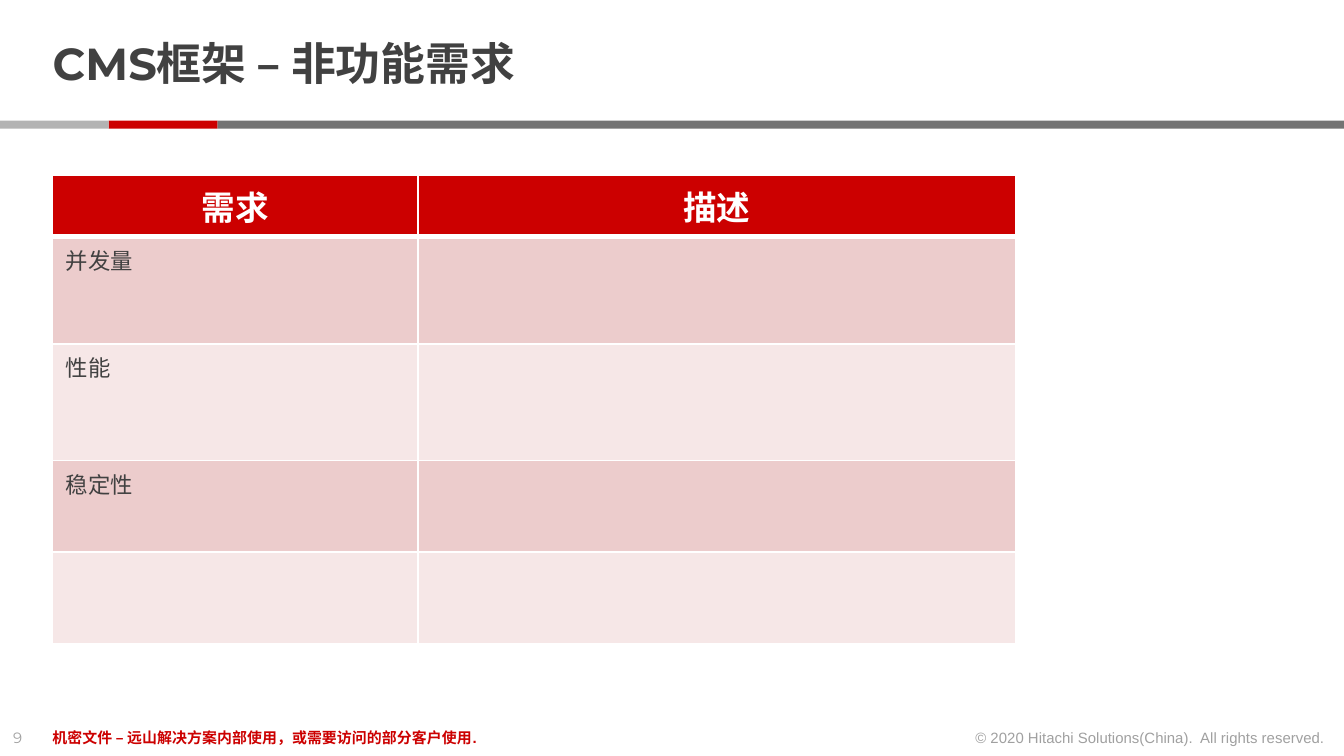
import pptx
import pptx.util
import pptx.dml.color
import pptx.enum.shapes
import pptx.enum.text
import pptx.oxml

Pt = pptx.util.Pt
Align = pptx.enum.text.PP_ALIGN
Fit = pptx.enum.text.MSO_AUTO_SIZE
RECT = pptx.enum.shapes.MSO_SHAPE.RECTANGLE
NS = "http://schemas.openxmlformats.org/drawingml/2006/main"
RED, DARK, PALE, WHITE = "CC0000", "414141", "A0A0A0", "FFFFFF"


def color(code):
    return pptx.dml.color.RGBColor.from_string(code)


def write(para, text, size, face, code, bold=False):
    run = para.add_run()
    run.text = text
    font = run.font
    font.size, font.name, font.bold = Pt(size), face, bold
    font.color.rgb = color(code)


deck = pptx.Presentation()
deck.slide_width, deck.slide_height = Pt(720), Pt(405)
slide = deck.slides.add_slide(deck.slide_layouts[5])

# Three-colour rule under the title
for left, width, code in [(116.5, 603.5, "737373"), (58.25, 58.25, RED), (0, 58.25, "B3B3B3")]:
    bar = slide.shapes.add_shape(RECT, Pt(left), Pt(64.6), Pt(width), Pt(4.4))
    bar.shadow.inherit = False
    bar.fill.solid()
    bar.fill.fore_color.rgb = color(code)
    bar.line.fill.background()

# Footer: page number, copyright, confidentiality note
notes = [
    (0, 387, 24.5, "9", "Montserrat", PALE, False, False, Align.LEFT),
    (512.5, 386.6, 204.5, "© 2020 Hitachi Solutions(China).  All rights reserved.",
     "Arial", PALE, False, False, Align.RIGHT),
    (21, 386.6, 485, "机密文件 – 远山解决方案内部使用，或需要访问的部分客户使用.",
     "Arial", RED, True, True, Align.LEFT),
]
for left, top, width, text, face, code, bold, wrap, align in notes:
    box = slide.shapes.add_textbox(Pt(left), Pt(top), Pt(width), Pt(17))
    frame = box.text_frame
    frame.word_wrap = wrap
    frame.auto_size = Fit.SHAPE_TO_FIT_TEXT
    para = frame.paragraphs[0]
    para.alignment = align
    write(para, text, 8, face, code, bold)

# Title
title = slide.shapes.title
title.left, title.top, title.width, title.height = Pt(21), Pt(9.4), Pt(555), Pt(52.6)
frame = title.text_frame
frame.auto_size = Fit.NONE
frame.word_wrap = True
frame.vertical_anchor = pptx.enum.text.MSO_ANCHOR.MIDDLE
frame.margin_left = frame.margin_right = Pt(7.2)
frame.margin_top = frame.margin_bottom = Pt(0)
para = frame.paragraphs[0]
para.alignment = Align.LEFT
para.line_spacing = 0.85
write(para, "CMS框架 – 非功能需求", 24, "Montserrat", DARK, True)

# Requirements table
rows = [("需求", "描述"), ("并发量", ""), ("性能", ""), ("稳定性", ""), ("", "")]
tall = [33, 57.5, 62.5, 49, 49]
wide = [196, 320]
table = slide.shapes.add_table(len(rows), len(wide), Pt(28.1), Pt(93.8),
                               Pt(sum(wide)), Pt(sum(tall))).table
for col, width in zip(table.columns, wide):
    col.width = Pt(width)

for i, texts in enumerate(rows):
    table.rows[i].height = Pt(tall[i])
    head = i == 0
    for j, text in enumerate(texts):
        cell = table.cell(i, j)
        # White borders, thick below the header
        props = cell._tc.get_or_add_tcPr()
        for side in "LRTB":
            thick = (side == "B" and head) or (side == "T" and i == 1)
            props.append(pptx.oxml.parse_xml(
                f'<a:ln{side} xmlns:a="{NS}" w="{Pt(3 if thick else 1)}"><a:solidFill>'
                f'<a:srgbClr val="{WHITE}"/></a:solidFill></a:ln{side}>'))
        cell.fill.solid()
        cell.fill.fore_color.rgb = color(RED if head else "ECCCCC" if i % 2 else "F6E7E7")
        if text:
            para = cell.text_frame.paragraphs[0]
            para.alignment = Align.CENTER if head else Align.LEFT
            write(para, text, 18 if head else 12, "Arial", WHITE if head else DARK, head)

deck.save("out.pptx")
